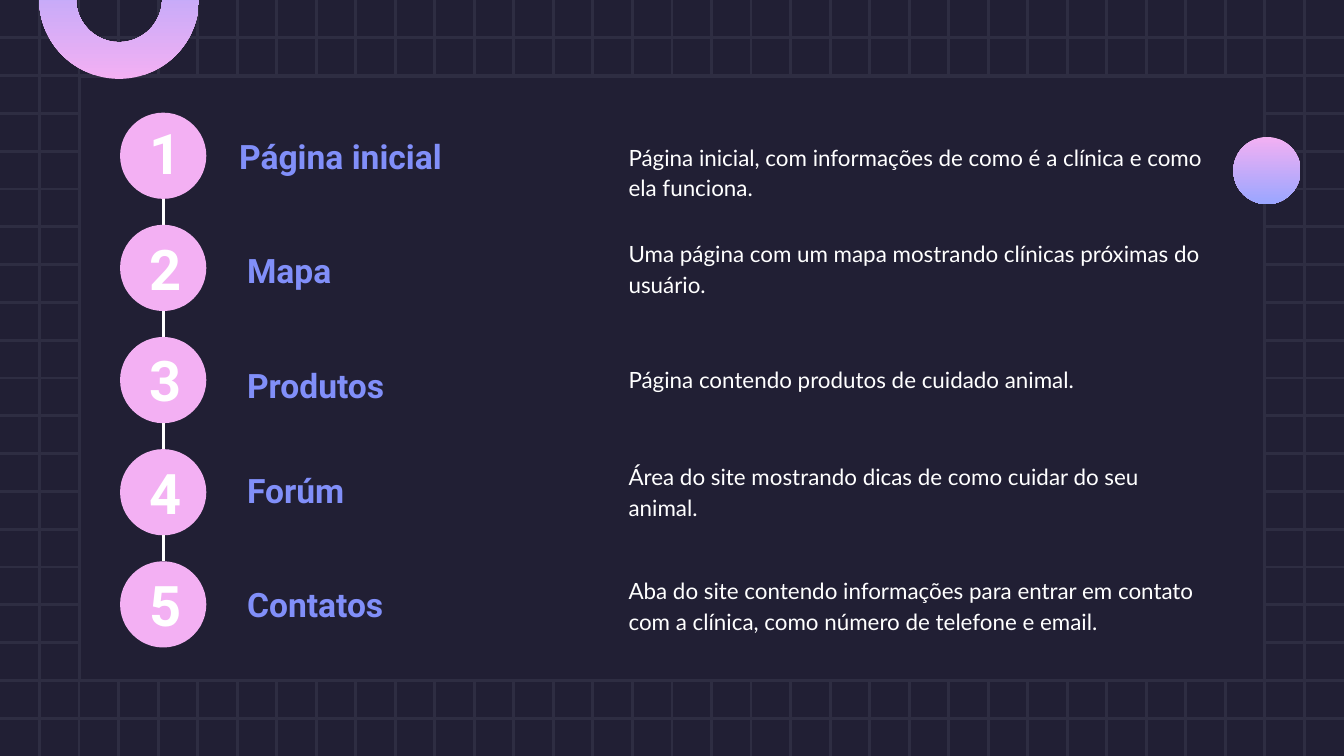
from dataclasses import dataclass

from lxml import etree
from pptx import Presentation
from pptx.dml.color import RGBColor
from pptx.enum.shapes import MSO_CONNECTOR, MSO_SHAPE
from pptx.enum.text import MSO_ANCHOR, MSO_AUTO_SIZE, PP_ALIGN
from pptx.oxml.ns import qn
from pptx.shapes.autoshape import Shape
from pptx.slide import Slide
from pptx.util import Cm, Pt

STRAIGHT = MSO_CONNECTOR.STRAIGHT
RECTANGLE = MSO_SHAPE.RECTANGLE
OVAL = MSO_SHAPE.OVAL
BLOCK_ARC = MSO_SHAPE.BLOCK_ARC
MIDDLE = MSO_ANCHOR.MIDDLE
NO_AUTOFIT = MSO_AUTO_SIZE.NONE
LEFT = PP_ALIGN.LEFT

COLORS = {
    "night": "211F34",
    "grid": "2E2D42",
    "pink": "F3B0F3",
    "lilac": "9AA6FF",
    "heading": "818FF9",
    "white": "FFFFFF",
}

PAGE_WIDTH, PAGE_HEIGHT = 25.4, 14.29
GRID_COLUMNS, GRID_ROWS = 34, 20
CIRCLE_LEFT, CIRCLE_TOP = 2.27, 2.13
CIRCLE_SIZE, CIRCLE_STEP = 1.63, 2.12


@dataclass(frozen=True)
class Box:
    left: float
    top: float
    width: float
    height: float


@dataclass(frozen=True)
class TextStyle:
    font: str
    size: int
    color: str
    bold: bool = False
    line_spacing: float = 1.0


@dataclass(frozen=True)
class Section:
    heading: str
    description: str
    number_top: float
    heading_left: float
    heading_top: float
    description_top: float


NUMBER = TextStyle("Roboto", 30, "white", bold=True)
HEADING = TextStyle("Roboto", 18, "heading", bold=True)
DESCRIPTION = TextStyle("Lato", 12, "white", line_spacing=1.15)

SECTIONS = [
    Section("Página inicial",
            "Página inicial, com informações de como é a clínica e como ela funciona.",
            2.26, 4.27, 2.18, 2.24),
    Section("Mapa",
            "Uma página com um mapa mostrando clínicas próximas do usuário.",
            4.44, 4.42, 4.34, 4.06),
    Section("Produtos",
            "Página contendo produtos de cuidado animal.",
            6.55, 4.42, 6.5, 6.15),
    Section("Forúm",
            "Área do site mostrando dicas de como cuidar do seu animal.",
            8.69, 4.42, 8.48, 8.28),
    Section("Contatos",
            "Aba do site contendo informações para entrar em contato com a clínica, "
            "como número de telefone e email.",
            10.8, 4.42, 10.64, 10.44),
]


def color(name: str) -> RGBColor:
    return RGBColor.from_string(COLORS[name])


def add_line(page: Slide, x1: float, y1: float, x2: float, y2: float, name: str) -> None:
    line = page.shapes.add_connector(STRAIGHT, Cm(x1), Cm(y1), Cm(x2), Cm(y2))
    line.line.color.rgb = color(name)
    line.line.width = Pt(1.5)
    etree.SubElement(line.element.spPr, qn("a:effectLst"))


def add_figure(page: Slide, kind: int, box: Box, fill: str) -> Shape:
    figure = page.shapes.add_shape(
        kind, Cm(box.left), Cm(box.top), Cm(box.width), Cm(box.height))
    figure.shadow.inherit = False
    figure.fill.solid()
    figure.fill.fore_color.rgb = color(fill)
    figure.line.fill.background()
    return figure


def apply_gradient(figure: Shape) -> None:
    figure.fill.gradient()
    figure.fill.gradient_angle = 270
    for stop, name in zip(figure.fill.gradient_stops, ("pink", "lilac")):
        stop.color.rgb = color(name)


def write_text(holder: Shape, box: Box, text: str, style: TextStyle) -> None:
    holder.left, holder.top = Cm(box.left), Cm(box.top)
    holder.width, holder.height = Cm(box.width), Cm(box.height)
    frame = holder.text_frame
    frame.word_wrap = True
    frame.auto_size = NO_AUTOFIT
    frame.vertical_anchor = MIDDLE
    frame.margin_left = frame.margin_right = Cm(0.25)
    frame.margin_top = frame.margin_bottom = Cm(0.25)
    para = frame.paragraphs[0]
    para.text = text
    para.alignment = LEFT
    para.line_spacing = style.line_spacing
    para.font.name = style.font
    para.font.size = Pt(style.size)
    para.font.bold = style.bold
    para.font.color.rgb = color(style.color)


def add_text(page: Slide, box: Box, text: str, style: TextStyle) -> None:
    holder = page.shapes.add_textbox(0, 0, 0, 0)
    write_text(holder, box, text, style)


def draw_backdrop(page: Slide) -> None:
    page.background.fill.solid()
    page.background.fill.fore_color.rgb = color("night")
    for row in range(1, GRID_ROWS):
        y = PAGE_HEIGHT * row / GRID_ROWS
        add_line(page, 0, y, PAGE_WIDTH, y, "grid")
    for column in range(1, GRID_COLUMNS):
        x = PAGE_WIDTH * column / GRID_COLUMNS
        add_line(page, x, 0, x, PAGE_HEIGHT, "grid")
    panel = add_figure(page, RECTANGLE, Box(1.5, 1.44, 22.4, 11.42), "night")
    panel.line.color.rgb = color("grid")
    panel.line.width = Pt(1.5)


def draw_ornaments(page: Slide) -> None:
    apply_gradient(add_figure(page, OVAL, Box(23.31, 2.59, 1.27, 1.27), "pink"))
    arc = add_figure(page, BLOCK_ARC, Box(0.74, -1.53, 3.02, 3.02), "pink")
    arc.rotation = 180
    for index, value in enumerate((108, 0.36, 0.23)):
        arc.adjustments[index] = value
    apply_gradient(arc)


def draw_section(page: Slide, index: int, section: Section) -> None:
    top = CIRCLE_TOP + index * CIRCLE_STEP
    center = CIRCLE_LEFT + CIRCLE_SIZE / 2
    if index:
        add_line(page, center, top - CIRCLE_STEP + CIRCLE_SIZE, center, top, "white")
    add_figure(page, OVAL, Box(CIRCLE_LEFT, top, CIRCLE_SIZE, CIRCLE_SIZE), "pink")
    number_box = Box(2.57, section.number_top, 1.04, 1.24)
    if index:
        add_text(page, number_box, str(index + 1), NUMBER)
    else:
        title = page.shapes.title
        write_text(title, number_box, str(index + 1), NUMBER)
        title.element.getparent().append(title.element)
    add_text(page, Box(section.heading_left, section.heading_top, 7.19, 1.55),
             section.heading, HEADING)
    add_text(page, Box(11.63, section.description_top, 11.51, 1.97),
             section.description, DESCRIPTION)


def main() -> None:
    deck = Presentation()
    deck.slide_width, deck.slide_height = Cm(PAGE_WIDTH), Cm(PAGE_HEIGHT)
    page = deck.slides.add_slide(deck.slide_layouts[5])
    draw_backdrop(page)
    draw_ornaments(page)
    for index, section in enumerate(SECTIONS):
        draw_section(page, index, section)
    deck.save("out.pptx")


if __name__ == "__main__":
    main()
